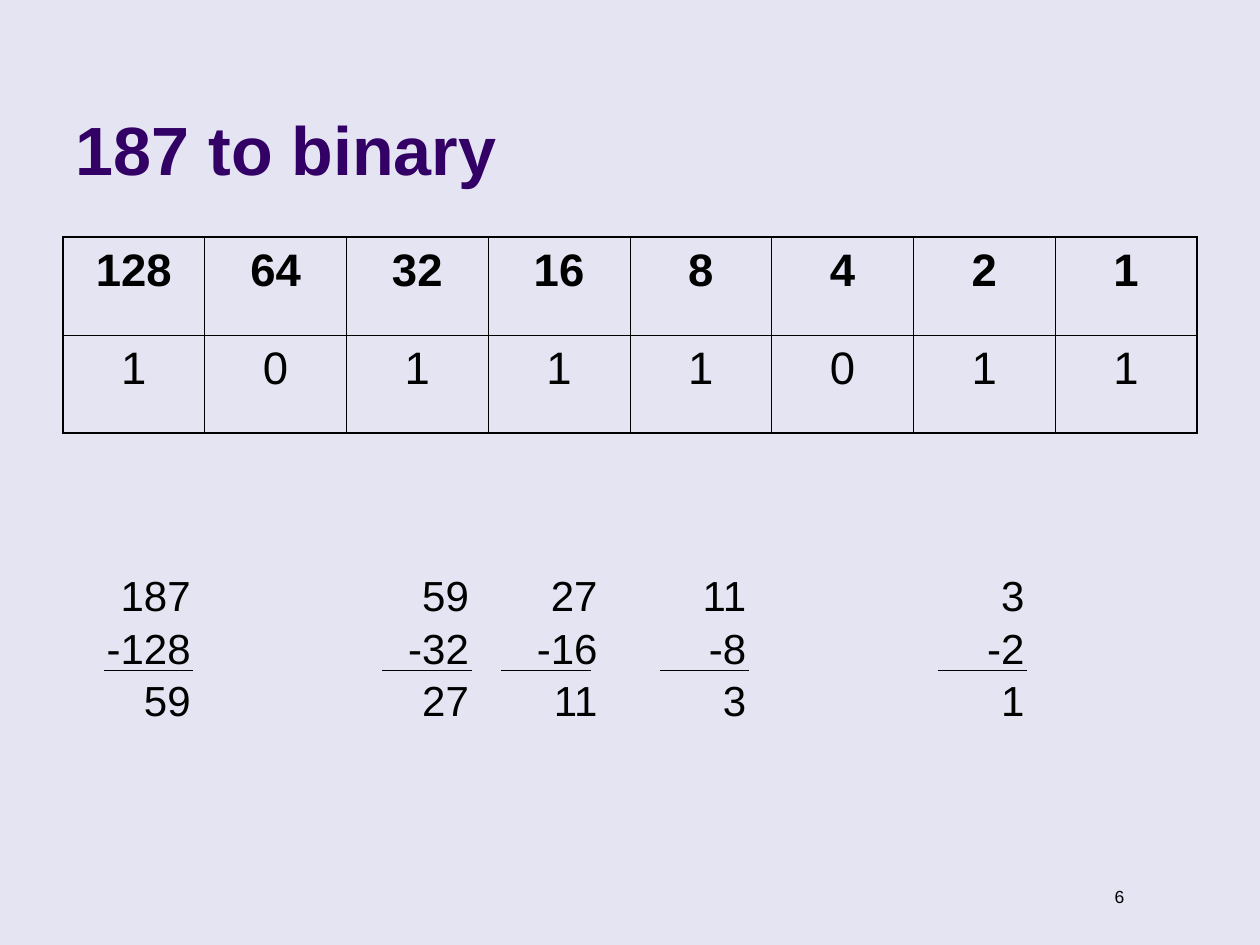
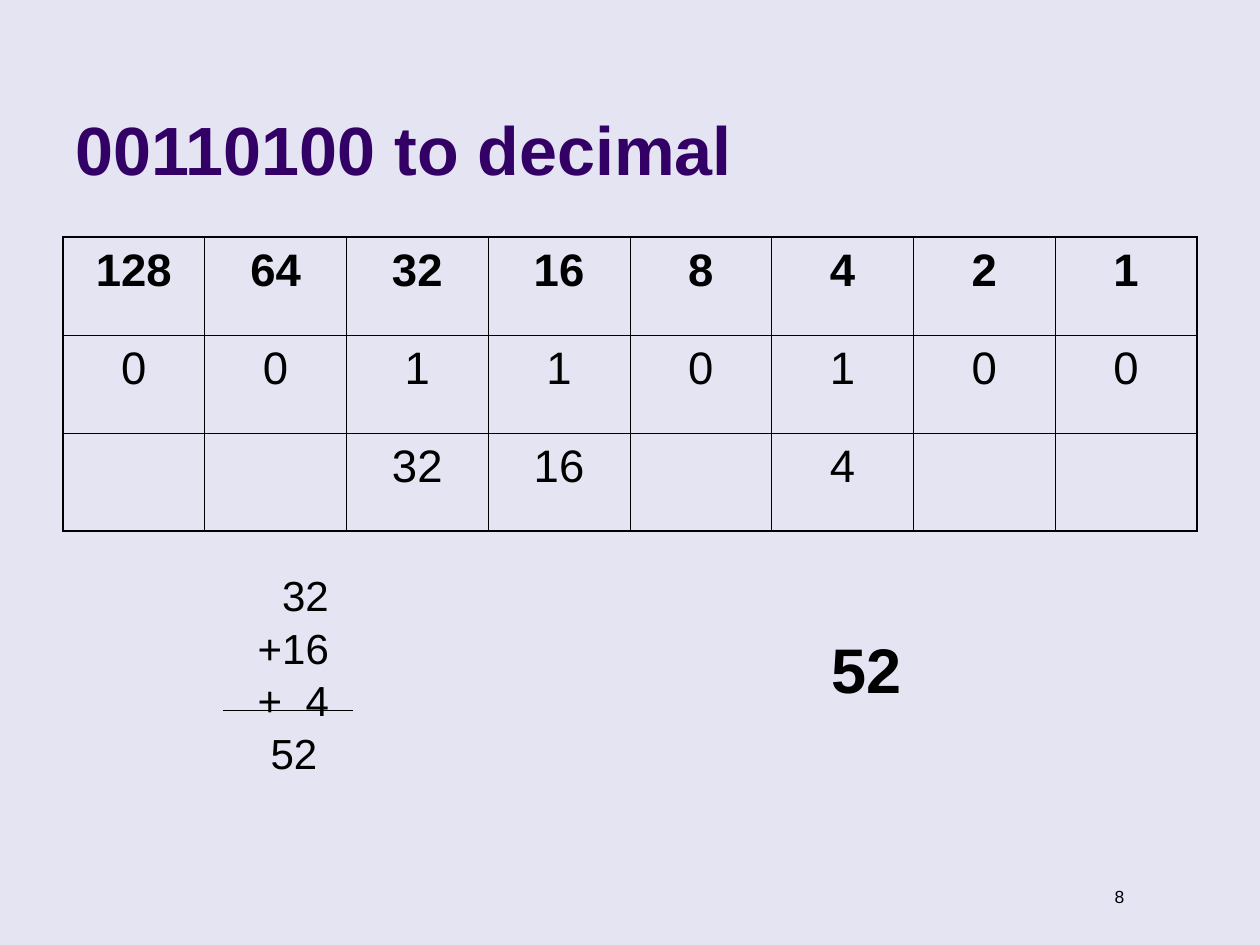
"""Build two slides on converting between decimal and binary."""
import pptx
import pptx.dml.color
import pptx.enum.shapes
import pptx.enum.text
import pptx.oxml
import pptx.oxml.ns
import pptx.util
from lxml import etree

Pt = pptx.util.Pt
RGBColor = pptx.dml.color.RGBColor
ALIGN = pptx.enum.text.PP_ALIGN
ANCHOR = pptx.enum.text.MSO_ANCHOR

BACKGROUND = RGBColor(0xE4, 0xE4, 0xF2)
PURPLE = RGBColor(0x33, 0x00, 0x66)
BLACK = RGBColor(0x00, 0x00, 0x00)
FONT = "Arial"
PLACE_VALUES = ["128", "64", "32", "16", "8", "4", "2", "1"]
OUTER, INNER = 1.08, 0.45


def write(tf, text, size=24, color=BLACK, bold=False, align=ALIGN.LEFT, spacing=1.04):
    """Fill a text frame with one formatted paragraph per line and return them."""
    tf.text = text
    for p in tf.paragraphs:
        p.alignment = align
        p.line_spacing = spacing
        p.space_before = Pt(0)
        p.font.name = FONT
        p.font.size = Pt(size)
        p.font.bold = bold
        p.font.color.rgb = color
    return tf.paragraphs


def add_text(s, text, left, top, width, height, **fmt):
    """Add a wrapping text box."""
    tf = s.shapes.add_textbox(Pt(left), Pt(top), Pt(width), Pt(height)).text_frame
    tf.word_wrap = True
    return write(tf, text, **fmt)


def add_rule(s, left, top, width):
    """Draw the thin line above a result."""
    line = s.shapes.add_connector(pptx.enum.shapes.MSO_CONNECTOR.STRAIGHT,
                                  Pt(left), Pt(top), Pt(left + width), Pt(top))
    line.line.color.rgb = BLACK
    line.line.width = Pt(0.75)
    etree.SubElement(line._element.spPr, pptx.oxml.ns.qn("a:effectLst"))


def set_borders(cell, left, right, top, bottom):
    """Give the four sides of a cell black lines of the given widths."""
    tcPr = cell._tc.get_or_add_tcPr()
    sides = zip("LRTB", (left, right, top, bottom))
    for i, (side, width) in enumerate(sides):
        tcPr.insert(i, pptx.oxml.parse_xml(
            f'<a:ln{side} {pptx.oxml.ns.nsdecls("a")} w="{Pt(width)}">'
            f'<a:solidFill><a:srgbClr val="{BLACK}"/></a:solidFill></a:ln{side}>'))


def add_bit_table(s, *rows):
    """Add a table of place values with the given rows below them."""
    rows = [PLACE_VALUES, *rows]
    last_row, last_col = len(rows) - 1, len(PLACE_VALUES) - 1
    table = s.shapes.add_table(len(rows), len(PLACE_VALUES), Pt(36), Pt(135.5),
                               Pt(648), Pt(56 * len(rows))).table
    table.horz_banding = table.first_row = False
    for i, row in enumerate(rows):
        for j, text in enumerate(row):
            cell = table.cell(i, j)
            write(cell.text_frame, text, size=26, bold=i == 0, align=ALIGN.CENTER)
            cell.fill.background()
            set_borders(cell,
                        left=OUTER if j == 0 else INNER,
                        right=OUTER if j == last_col else INNER,
                        top=OUTER if i == 0 else INNER,
                        bottom=OUTER if i == last_row else INNER)


def add_subtraction(s, text, left, rule_offset=28.5):
    """Add a written subtraction with a line above its result."""
    add_text(s, text, left, 321, 85, 94, align=ALIGN.RIGHT)
    add_rule(s, left + rule_offset, 383, 51)


def add_sum(s):
    """Add the written sum of the place values that are set."""
    lines = add_text(s, "32\n+16\n+\n52 ", 127.5, 321, 67.5, 122, align=ALIGN.RIGHT)
    gap = lines[2].add_run()
    gap.text = " "
    gap.font._element.set("spc", "667")
    lines[2].add_run().text = "4"
    add_rule(s, 127.5, 406, 74)


def add_slide(prs, title, number):
    """Add a slide with its title and page number."""
    s = prs.slides.add_slide(prs.slide_layouts[5])
    sp = s.shapes.title
    sp.left, sp.top, sp.width, sp.height = Pt(36), Pt(9.5), Pt(594), Pt(102)
    sp.text_frame.vertical_anchor = ANCHOR.BOTTOM
    write(sp.text_frame, title, size=39, color=PURPLE, bold=True, spacing=1)
    add_text(s, number, 604, 502.5, 45.5, 19.5, size=10, align=ALIGN.RIGHT)
    return s


def main():
    """Build and save the slides."""
    prs = pptx.Presentation()
    prs.slide_width, prs.slide_height = Pt(720), Pt(540)
    fill = prs.slide_master.background.fill
    fill.solid()
    fill.fore_color.rgb = BACKGROUND

    s = add_slide(prs, "187 to binary", "6")
    add_bit_table(s, "10111011")
    add_subtraction(s, "187\n-128\n59", 31)
    add_subtraction(s, "59\n-32\n27", 190)
    add_subtraction(s, "27\n-16\n11", 263.5, rule_offset=23)
    add_subtraction(s, "11\n-8\n3", 348.5)
    add_subtraction(s, "3\n-2\n1", 507.5)

    s = add_slide(prs, "00110100 to decimal", "8")
    bits = "00110100"
    add_bit_table(s, bits, [value if bit == "1" else ""
                            for value, bit in zip(PLACE_VALUES, bits)])
    add_sum(s)
    add_text(s, "52", 468, 355, 119, 50, size=36, bold=True)

    prs.save("out.pptx")


if __name__ == "__main__":
    main()
